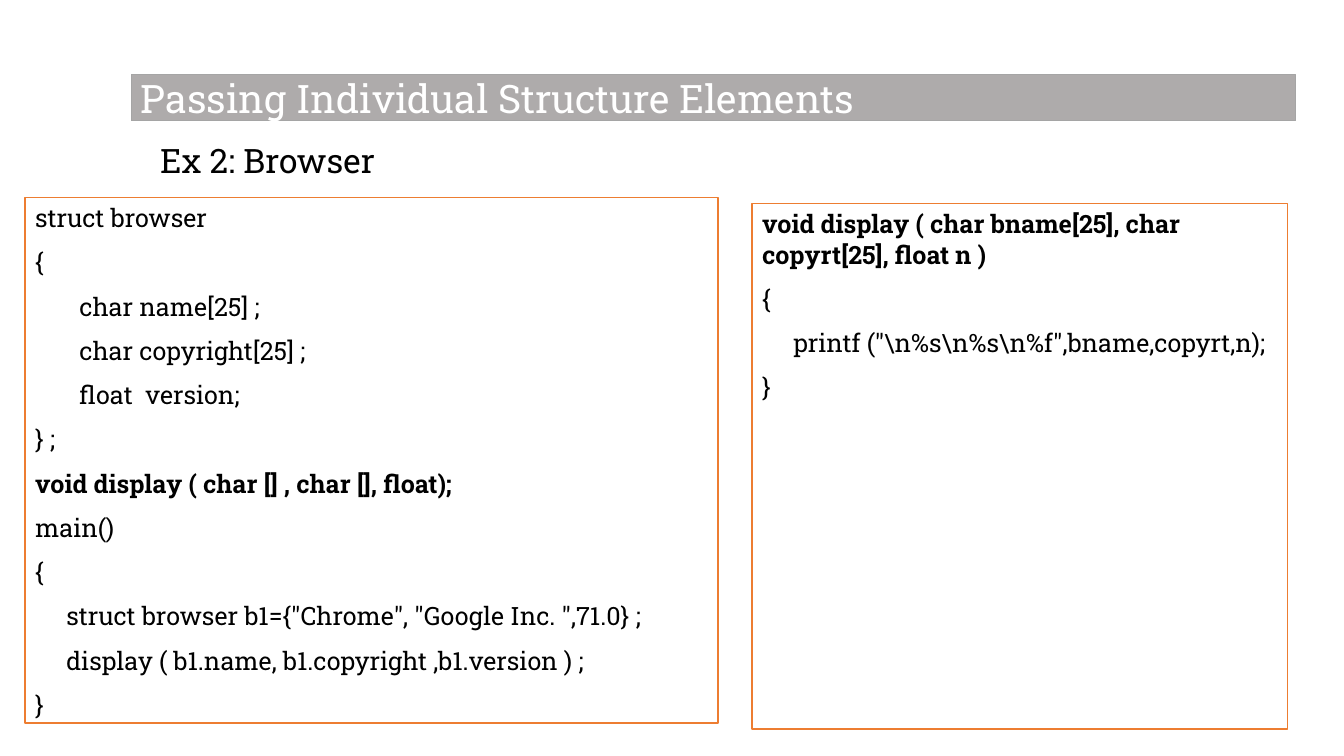
from pptx import Presentation
from pptx.dml.color import RGBColor
from pptx.enum.shapes import MSO_SHAPE
from pptx.enum.text import MSO_ANCHOR, PP_ALIGN
from pptx.util import Inches, Pt

RECTANGLE = MSO_SHAPE.RECTANGLE
TOP, MIDDLE = MSO_ANCHOR.TOP, MSO_ANCHOR.MIDDLE
LEFT = PP_ALIGN.LEFT
FONT = "Roboto Slab"
COLORS = {"white": "FFFFFF", "black": "000000", "orange": "ED7D31",
          "banner": "AEABAB", "banner_line": "A5A5A5"}


def color(name):
    return RGBColor.from_string(COLORS[name])


def add_box(left, top, width, height, fill, line, line_width, anchor):
    shape = slide.shapes.add_shape(RECTANGLE, Inches(left), Inches(top),
                                   Inches(width), Inches(height))
    shape.shadow.inherit = False
    shape.fill.solid()
    shape.fill.fore_color.rgb = color(fill)
    shape.line.color.rgb = color(line)
    shape.line.width = Pt(line_width)
    shape.text_frame.word_wrap = True
    shape.text_frame.vertical_anchor = anchor
    return shape


presentation = Presentation()
presentation.slide_width = Inches(13.33)
presentation.slide_height = Inches(7.5)
slide = presentation.slides.add_slide(presentation.slide_layouts[6])

# Example heading
heading = slide.shapes.add_textbox(Inches(1.49), Inches(1.34), Inches(9.75), Inches(0.5))
heading.text_frame.word_wrap = True
paragraph = heading.text_frame.paragraphs[0]
paragraph.text = "Ex 2: Browser"
paragraph.font.name = FONT
paragraph.font.size = Pt(24)
paragraph.font.color.rgb = color("black")

# Code panels: left, top, width, code lines
panels = [
    (0.25, 1.96, 6.87, [
        "struct browser",
        "{",
        "char name[25] ;",
        "char copyright[25] ;",
        "float  version;",
        "} ;",
        "void display ( char [] , char [], float);",
        "main()",
        "{",
        '     struct browser b1={"Chrome", "Google Inc. ",71.0} ;',
        "     display ( b1.name, b1.copyright ,b1.version ) ;",
        "}",
    ]),
    (7.46, 2.02, 5.31, [
        "void display ( char bname[25], char copyrt[25], float n )",
        "{",
        r'     printf ("\n%s\n%s\n%f",bname,copyrt,n);',
        "}",
    ]),
]
for left, top, width, code_lines in panels:
    panel = add_box(left, top, width, 5.21, "white", "orange", 1.25, TOP)
    frame = panel.text_frame
    for index, code in enumerate(code_lines):
        paragraph = frame.add_paragraph() if index else frame.paragraphs[0]
        paragraph.text = code
        paragraph.alignment = LEFT
        if index:
            paragraph.space_before = Pt(10)
        # Structure members are indented by margin
        if code.startswith(("char", "float")):
            properties = paragraph._p.get_or_add_pPr()
            properties.set("marL", str(Inches(0.44)))
            properties.set("indent", "0")
        paragraph.font.name = FONT
        paragraph.font.size = Pt(18)
        paragraph.font.bold = code.startswith("void display")
        paragraph.font.color.rgb = color("black")

# Title banner
banner = add_box(1.3, 0.74, 11.55, 0.46, "banner", "banner_line", 0.75, MIDDLE)
paragraph = banner.text_frame.paragraphs[0]
paragraph.text = "Passing Individual Structure Elements"
paragraph.alignment = LEFT
paragraph.font.name = FONT
paragraph.font.size = Pt(28)
paragraph.font.color.rgb = color("white")

presentation.save("out.pptx")
